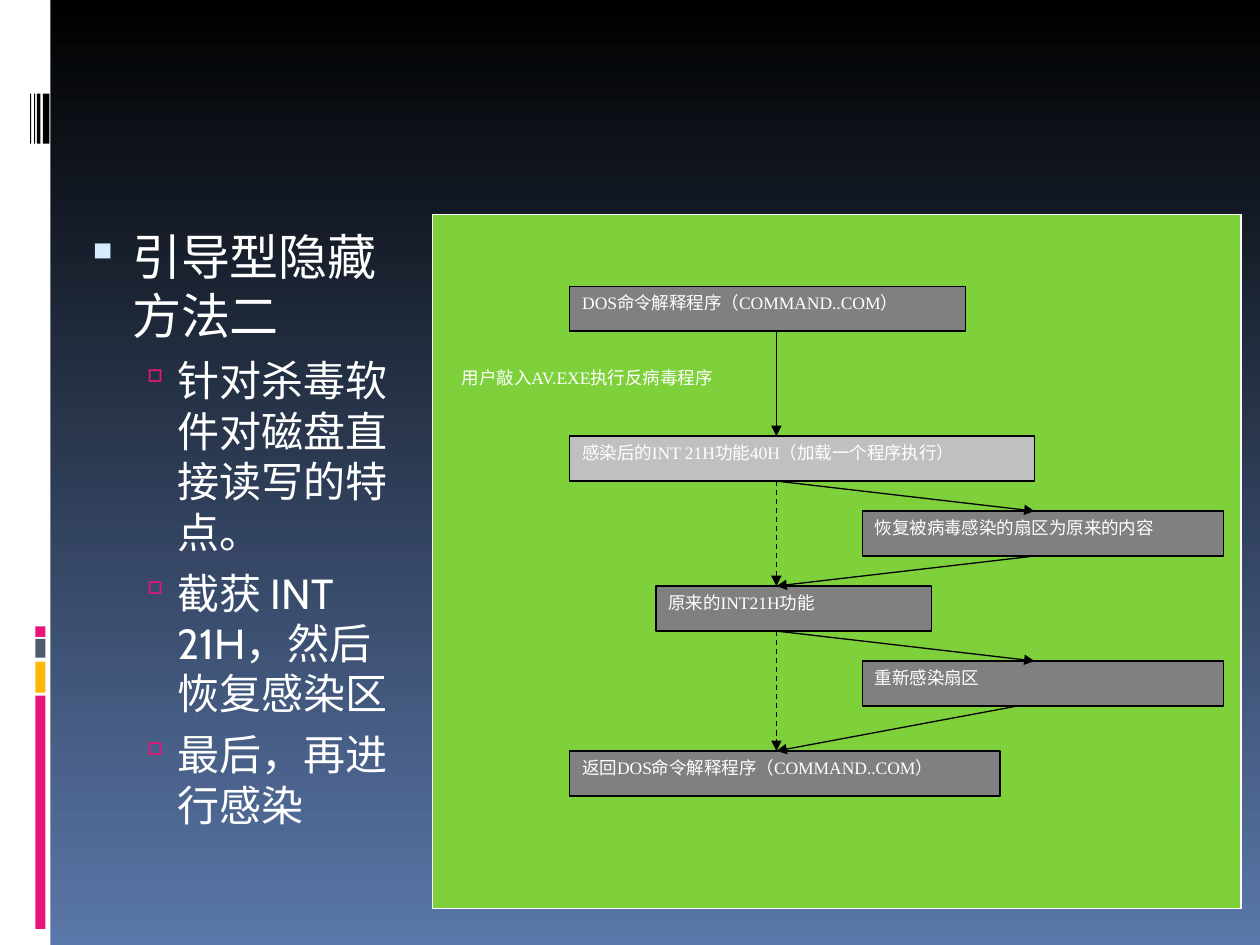
from lxml.etree import SubElement
from pptx import Presentation
from pptx.dml.color import RGBColor
from pptx.enum.dml import MSO_LINE as Dash
from pptx.enum.shapes import MSO_CONNECTOR as Link, MSO_SHAPE as Shape
from pptx.enum.text import MSO_ANCHOR as Anchor, PP_ALIGN as Align
from pptx.oxml.ns import qn
from pptx.util import Inches, Pt

WIDE, HIGH = 10, 7.5
WHITE, BLACK, GRAY, PINK = "FFFFFF", "000000", "808080", "EA157A"


def color(code):
    return RGBColor.from_string(code)


def spot(*sizes):
    return [Inches(size) for size in sizes]


def add_rect(shapes, box, fill, line=None):
    rect = shapes.add_shape(Shape.RECTANGLE, *spot(*box))
    rect.shadow.inherit = False
    rect.fill.solid()
    rect.fill.fore_color.rgb = color(fill)
    if line:
        rect.line.color.rgb = color(line)
        rect.line.width = Pt(0.75)
    else:
        rect.line.fill.background()
    return rect


def style(para, size, face):
    para.font.size = Pt(size)
    para.font.name = face
    para.font.color.rgb = color(WHITE)


def add_label(shape, text):
    frame = shape.text_frame
    frame.word_wrap = True
    frame.vertical_anchor = Anchor.TOP
    para = frame.paragraphs[0]
    para.text = text
    para.alignment = Align.JUSTIFY
    style(para, 10, "Times New Roman")


def add_arrow(shapes, start, end, dashed=False):
    arrow = shapes.add_connector(Link.STRAIGHT, *spot(*start, *end))
    arrow.line.color.rgb = color(BLACK)
    arrow.line.width = Pt(0.75)
    if dashed:
        arrow.line.dash_style = Dash.DASH
    SubElement(arrow.line._get_or_add_ln(), qn("a:tailEnd"), type="triangle")
    SubElement(arrow._element.spPr, qn("a:effectLst"))


def add_bullet(para, mark, tint, share, left, hang):
    props = para._p.get_or_add_pPr()
    props.set("marL", str(Inches(left)))
    props.set("indent", str(Inches(-hang)))
    SubElement(SubElement(props, qn("a:buClr")), qn("a:srgbClr"), val=tint)
    SubElement(props, qn("a:buSzPct"), val=str(share * 1000))
    SubElement(props, qn("a:buChar"), char=mark)


def side_band(slide, box):
    """White strip with colour blocks below and a bar code above."""
    left, top, width, height = box
    add_rect(slide.shapes, box, WHITE)
    blocks = [(0.736, 0.247, PINK), (0.7, 0.033, "FEB80A"),
              (0.676, 0.02, "4E5B6F"), (0.663, 0.011, PINK)]
    for y, h, fill in blocks:
        add_rect(slide.shapes, (left + 0.7 * width, top + y * height,
                                0.2 * width, h * height), fill)
    for x, w in [(0.85, 0.13), (0.73, 0.07), (0.68, 0.02), (0.6, 0.02)]:
        add_rect(slide.shapes, (left + x * width, top + 0.099 * height,
                                w * width, 0.053 * height), BLACK)


def outline(slide, box):
    frame = slide.shapes.add_textbox(*spot(*box)).text_frame
    frame.word_wrap = True
    head = frame.paragraphs[0]
    head.text = "引导型隐藏方法二"
    add_bullet(head, "▪", "D6ECFF", 95, 0.45, 0.37)
    style(head, 28, "Cabin")
    for text in ["针对杀毒软件对磁盘直接读写的特点。",
                 "截获 INT 21H，然后恢复感染区",
                 "最后，再进行感染"]:
        para = frame.add_paragraph()
        para.text = text
        para.level = 1
        add_bullet(para, "▫", PINK, 90, 0.81, 0.31)
        para.space_before = Pt(6)
        style(para, 24, "Cabin")


def flow(slide, box):
    """Flow chart on a green panel, placed by columns and rows."""
    left, top, width, height = box
    col, row = width / 18.8, height / 9.26
    deep = 0.6  # height of a step, in rows
    add_rect(slide.shapes, box, "7FD13B", WHITE)
    shapes = slide.shapes.add_group_shape().shapes

    def at(x, y):
        return left + (x + 0.4) * col, top + (y + 0.96) * row

    steps = [
        (2.8, 0, 9.2, GRAY, "DOS命令解释程序（COMMAND..COM）"),
        (2.8, 2, 10.8, "C0C0C0", "感染后的INT 21H功能40H（加载一个程序执行）"),
        (9.6, 3, 8.4, GRAY, "恢复被病毒感染的扇区为原来的内容"),
        (4.8, 4, 6.4, GRAY, "原来的INT21H功能"),
        (9.6, 5, 8.4, GRAY, "重新感染扇区"),
        (2.8, 6.2, 10, GRAY, "返回DOS命令解释程序（COMMAND..COM）"),
    ]
    for x, y, w, fill, text in steps:
        add_label(add_rect(shapes, (*at(x, y), w * col, deep * row),
                           fill, BLACK), text)
    note = shapes.add_textbox(*spot(*at(0, 1), 8 * col, deep * row))
    add_label(note, "用户敲入AV.EXE执行反病毒程序")

    main, far = 7.6, 13.6
    # start column and step row, end column and step row, dashed
    links = [(main, 0, main, 2, False), (main, 2, far, 3, False),
             (far, 3, main, 4, False), (main, 4, far, 5, False),
             (13.2, 5, main, 6.2, False), (main, 2, main, 4, True),
             (main, 4, main, 6.2, True)]
    for x, y, to_x, to_y, dashed in links:
        add_arrow(shapes, at(x, y + deep), at(to_x, to_y), dashed)


def main():
    deck = Presentation()
    deck.slide_width, deck.slide_height = spot(WIDE, HIGH)
    slide = deck.slides.add_slide(deck.slide_layouts[6])
    back = slide.background.fill
    back.gradient()
    back.gradient_angle = 270
    for stop, code in zip(back.gradient_stops, (BLACK, "5A77A9")):
        stop.color.rgb = color(code)
    side_band(slide, (0, 0, 0.04 * WIDE, HIGH))
    flow(slide, (3.43, 1.7, 6.42, 5.51))
    outline(slide, (0.5, 1.75, 2.85, 4.95))
    deck.save("out.pptx")


if __name__ == "__main__":
    main()
